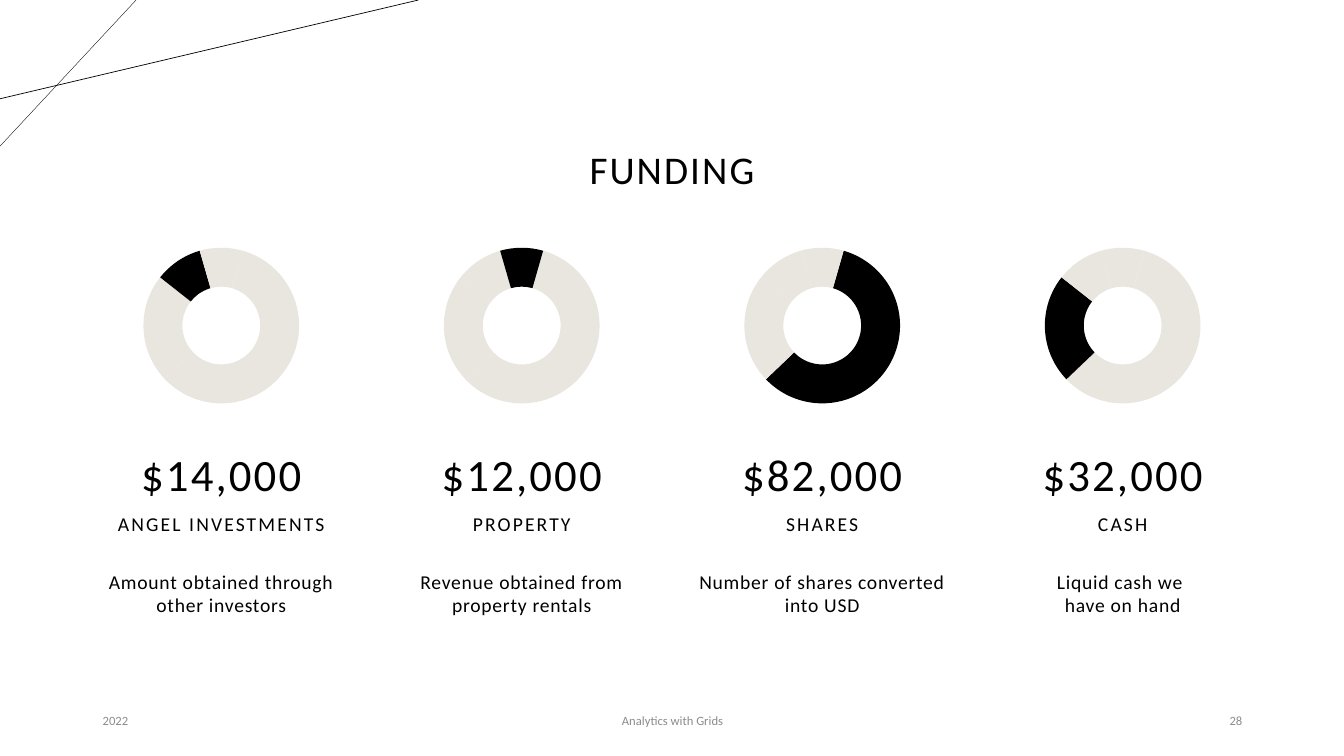
from pptx import Presentation
from pptx.chart.data import CategoryChartData
from pptx.dml.color import RGBColor
from pptx.enum.chart import XL_CHART_TYPE
from pptx.enum.shapes import MSO_CONNECTOR
from pptx.enum.text import MSO_ANCHOR, PP_ALIGN
from pptx.util import Inches, Pt
from lxml.etree import SubElement
from pptx.oxml.ns import qn

COLORS = {"ink": "000000", "sand": "E9E6DF", "gray": "8C8C8C", "white": "FFFFFF"}
FONT = "Calibri"
VALUES = (59, 23, 10, 9)
FUNDS = [
    ("$14,000", "ANGEL INVESTMENTS", "Amount obtained through other investors", 2),
    ("$12,000", "PROPERTY", "Revenue obtained from property rentals", 3),
    ("$82,000", "SHARES", "Number of shares converted into USD", 0),
    ("$32,000", "CASH", "Liquid cash we \vhave on hand", 1),
]
LEFT, STEP, WIDTH = 0.92, 2.98, 2.55


def color(name):
    return RGBColor.from_string(COLORS[name])


def add_text(slide, text, box, size=14, ink="ink", align=PP_ALIGN.CENTER,
             anchor=MSO_ANCHOR.MIDDLE, line=1.0, before=0, space=0, side=0.1):
    frame = slide.shapes.add_textbox(*map(Inches, box)).text_frame
    frame.word_wrap = True
    frame.vertical_anchor = anchor
    frame.margin_left = frame.margin_right = Inches(side)
    para = frame.paragraphs[0]
    para.text = text
    para.alignment = align
    para.line_spacing = line
    para.space_before = Pt(before)
    for run in para.runs:
        run.font.name = FONT
        run.font.size = Pt(size)
        run.font.color.rgb = color(ink)
        run.font._element.set("spc", str(int(space * 100)))


def add_line(slide, start, end, width):
    line = slide.shapes.add_connector(
        MSO_CONNECTOR.STRAIGHT, *map(Inches, start + end))
    line.line.color.rgb = color("ink")
    line.line.width = Pt(width)
    SubElement(line._element.spPr, qn("a:effectLst"))


def add_ring(slide, box, dark):
    data = CategoryChartData()
    data.categories = ["1", "2", "3", "4"]
    data.add_series("Series 1", VALUES)
    chart = slide.shapes.add_chart(
        XL_CHART_TYPE.DOUGHNUT, *map(Inches, box), data).chart
    chart.has_legend = False
    chart.has_title = False
    chart.font.name = FONT
    chart.font.size = Pt(10)
    chart.font.color.rgb = color("ink")
    plot = chart.plots[0]
    plot.vary_by_categories = False
    plot._element.find(qn("c:holeSize")).set("val", "80")
    plot._element.find(qn("c:firstSliceAng")).set("val", "16")
    for index in range(len(VALUES)):
        part = plot.series[0].points[index].format
        part.fill.solid()
        part.fill.fore_color.rgb = color("ink" if index == dark else "sand")
        part.line.fill.background()


def add_fund(slide, left, amount, label, note, dark):
    add_ring(slide, (left + 0.26, 2.32, 2.03, 1.82), dark)
    head = dict(anchor=MSO_ANCHOR.BOTTOM, line=0.9, before=10, space=1.5, side=0)
    add_text(slide, amount, (left, 4.14, WIDTH, 0.88), size=32, **head)
    add_text(slide, label, (left, 4.88, WIDTH, 0.48), **head)
    add_text(slide, note, (left, 5.6, WIDTH, 0.93), anchor=MSO_ANCHOR.TOP,
             before=10, space=0.5, side=0)


def add_foot(slide):
    small = dict(size=9, ink="gray")
    add_text(slide, "2022", (LEFT, 6.95, 3, 0.4), align=PP_ALIGN.LEFT, **small)
    add_text(slide, "Analytics with Grids", (4.42, 6.95, 4.5, 0.4), **small)
    add_text(slide, "28", (9.42, 6.95, 3, 0.4), align=PP_ALIGN.RIGHT, **small)


def main():
    deck = Presentation()
    deck.slide_width, deck.slide_height = Inches(13.33), Inches(7.5)
    slide = deck.slides.add_slide(deck.slide_layouts[6])
    slide.background.fill.solid()
    slide.background.fill.fore_color.rgb = color("white")
    add_line(slide, (1.35, 0), (0, 1.45), 0.25)
    add_line(slide, (4.15, 0), (0, 0.98), 0.5)
    add_text(slide, "FUNDING", (2.06, 0.98, 9.21, 1.45), size=28, line=0.9, space=1.5)
    for index, fund in enumerate(FUNDS):
        add_fund(slide, LEFT + STEP * index, *fund)
    add_foot(slide)
    deck.save("out.pptx")


if __name__ == "__main__":
    main()
